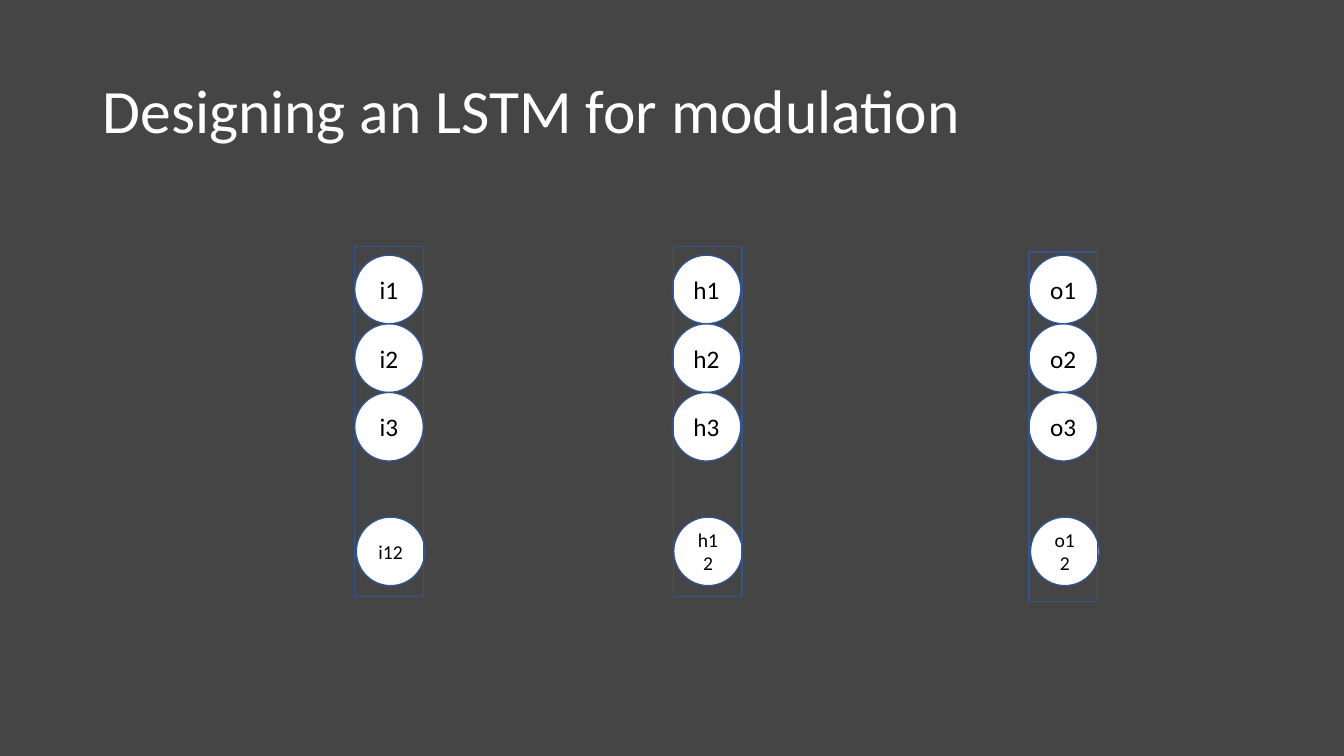
from pptx import Presentation
from pptx.dml.color import RGBColor
from pptx.enum.shapes import MSO_SHAPE
from pptx.enum.text import MSO_ANCHOR, PP_ALIGN
from pptx.util import Cm, Pt

COLOURS = {"background": "454545", "node": "FFFFFF", "outline": "325491",
           "label": "000000", "title": "FFFFFF"}
NODE_SIZE = 1.73
FIRST_NODE_TOP = 6.43
LAST_NODE_TOP = 13.03
LAST_NODE_SHIFT = 0.04
FRAME_HEIGHT = 8.81
LAYERS = [
    {"letter": "i", "left": 8.94, "frame_left": 8.94, "frame_top": 6.22},
    {"letter": "o", "left": 25.93, "frame_left": 25.93, "frame_top": 6.35},
    {"letter": "h", "left": 16.94, "frame_left": 16.97, "frame_top": 6.22},
]


def colour(part):
    return RGBColor.from_string(COLOURS[part])


def set_all(target, values):
    for name, value in values.items():
        setattr(target, name, value)


def write(frame, text, size, part, alignment):
    set_all(frame, {"word_wrap": True, "vertical_anchor": MSO_ANCHOR.MIDDLE})
    paragraph = frame.paragraphs[0]
    paragraph.alignment = alignment
    run = paragraph.add_run()
    run.text = text
    set_all(run.font, {"size": Pt(size), "name": "Calibri"})
    run.font.color.rgb = colour(part)
    return paragraph


def add_title(slide, text):
    title = slide.shapes.title
    set_all(title, {"left": Cm(2.33), "top": Cm(1.01),
                    "width": Cm(29.21), "height": Cm(3.68)})
    heading = write(title.text_frame, text, 44, "title", PP_ALIGN.LEFT)
    heading.line_spacing = 0.9


def add_outlined(slide, preset, left, top, width, height):
    outlined = slide.shapes.add_shape(preset, Cm(left), Cm(top), Cm(width), Cm(height))
    outlined.shadow.inherit = False
    outlined.line.color.rgb = colour("outline")
    outlined.line.width = Pt(1)
    return outlined


def add_node(slide, label, left, top, size):
    node = add_outlined(slide, MSO_SHAPE.OVAL, left, top, NODE_SIZE, NODE_SIZE)
    node.fill.solid()
    node.fill.fore_color.rgb = colour("node")
    write(node.text_frame, label, size, "label", PP_ALIGN.CENTER)


def add_layer_nodes(slide, letter, left):
    for row in range(3):
        add_node(slide, f"{letter}{row + 1}", left, FIRST_NODE_TOP + row * NODE_SIZE, 18)
    add_node(slide, f"{letter}12", left + LAST_NODE_SHIFT, LAST_NODE_TOP, 14)


def add_layer_frame(slide, left, top):
    frame = add_outlined(slide, MSO_SHAPE.RECTANGLE, left, top, NODE_SIZE, FRAME_HEIGHT)
    frame.fill.background()


def main():
    deck = Presentation()
    set_all(deck, {"slide_width": Cm(33.87), "slide_height": Cm(19.05)})
    slide = deck.slides.add_slide(deck.slide_layouts.get_by_name("Title Only"))
    slide.background.fill.solid()
    slide.background.fill.fore_color.rgb = colour("background")
    add_title(slide, "Designing an LSTM for modulation")
    for layer in LAYERS:
        add_layer_nodes(slide, layer["letter"], layer["left"])
    for layer in LAYERS:
        add_layer_frame(slide, layer["frame_left"], layer["frame_top"])
    deck.save("out.pptx")


if __name__ == "__main__":
    main()
